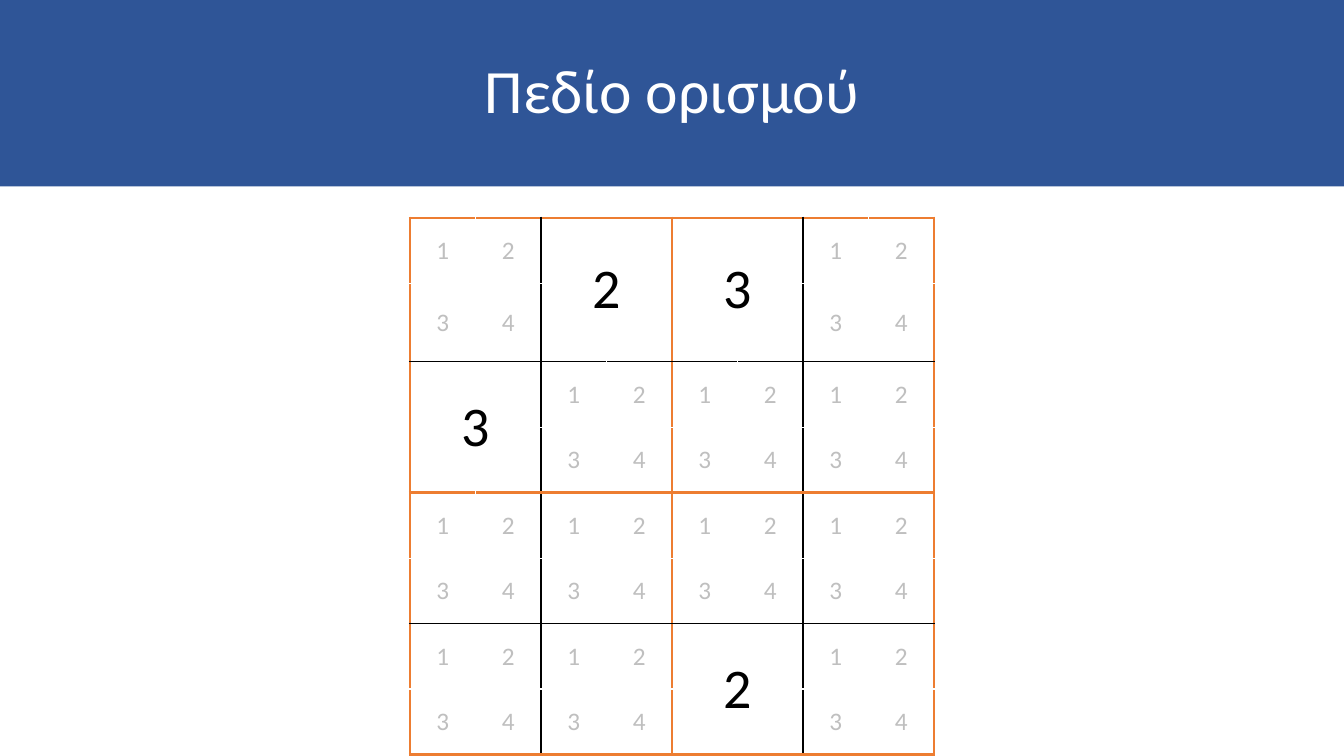
from dataclasses import dataclass
from typing import Any

import pptx
import pptx.dml.color
import pptx.enum.shapes
import pptx.enum.text
import pptx.oxml
import pptx.oxml.ns
import pptx.util
from lxml import etree

Cm = pptx.util.Cm
Pt = pptx.util.Pt
RGBColor = pptx.dml.color.RGBColor
PP_ALIGN = pptx.enum.text.PP_ALIGN
MSO_ANCHOR = pptx.enum.text.MSO_ANCHOR

BLUE = RGBColor(0x2F, 0x55, 0x97)
WHITE = RGBColor(0xFF, 0xFF, 0xFF)
BLACK = RGBColor(0x00, 0x00, 0x00)
GRAY = RGBColor(0xBF, 0xBF, 0xBF)
ORANGE = RGBColor(0xED, 0x7D, 0x31)

SLIDE_W, SLIDE_H = 33.87, 19.05
TITLE_H = 4.7
STEP = 1.65
SIDE = 4
COUNT = 2 * SIDE
GRID_LEFT = (SLIDE_W - COUNT * STEP) / 2
GRID_TOP = 5.49


@dataclass(frozen=True)
class Format:
    size: int
    color: RGBColor


@dataclass(frozen=True)
class Given:
    row: int
    col: int
    digit: str


@dataclass(frozen=True)
class Border:
    color: RGBColor
    width: float


TITLE = Format(44, WHITE)
SOLVED = Format(40, BLACK)
CANDIDATE = Format(18, GRAY)

BOX_EDGE = Border(ORANGE, 2.25)
SQUARE_EDGE = Border(BLACK, 1)
INNER_EDGE = Border(WHITE, 1)

GIVENS = [Given(0, 1, "2"), Given(0, 2, "3"), Given(1, 0, "3"), Given(3, 2, "2")]


def write(tf: Any, text: str, fmt: Format) -> Any:
    p = tf.paragraphs[0]
    p.alignment = PP_ALIGN.CENTER
    r = p.add_run()
    r.text = text
    values = {"name": "Calibri", "size": Pt(fmt.size)}
    for name, value in values.items():
        setattr(r.font, name, value)
    r.font.color.rgb = fmt.color
    return p


def edge(index: int) -> Border:
    if index % 4 == 0:
        return BOX_EDGE
    return SQUARE_EDGE if index % 2 == 0 else INNER_EDGE


def frame(cell: Any, row: int, col: int, span: int) -> None:
    sides = {"lnL": col, "lnR": col + span, "lnT": row, "lnB": row + span}
    tcPr = cell._tc.get_or_add_tcPr()
    for tag, index in sides.items():
        border = edge(index)
        ln = etree.SubElement(tcPr, pptx.oxml.ns.qn(f"a:{tag}"), w=str(Pt(border.width)))
        fill = etree.SubElement(ln, pptx.oxml.ns.qn("a:solidFill"))
        etree.SubElement(fill, pptx.oxml.ns.qn("a:srgbClr"), val=str(border.color))
    cell.fill.background()
    cell.vertical_anchor = MSO_ANCHOR.MIDDLE


def add_title(s: Any, text: str) -> None:
    sp = s.shapes.add_shape(
        pptx.enum.shapes.MSO_SHAPE.RECTANGLE, 0, 0, Cm(SLIDE_W), Cm(TITLE_H)
    )
    sp.shadow.inherit = False
    sp.fill.solid()
    sp.fill.fore_color.rgb = BLUE
    sp.line.fill.background()
    tf = sp.text_frame
    tf.word_wrap = True
    tf.vertical_anchor = MSO_ANCHOR.MIDDLE
    write(tf, text, TITLE).line_spacing = 0.9


def add_grid(s: Any) -> None:
    size = Cm(COUNT * STEP)
    gf = s.shapes.add_table(COUNT, COUNT, Cm(GRID_LEFT), Cm(GRID_TOP), size, size)
    table = gf.table
    table.first_row = False
    table.horz_banding = False
    for line in table.columns:
        line.width = Cm(STEP)
    for line in table.rows:
        line.height = Cm(STEP)
    for given in GIVENS:
        row, col = 2 * given.row, 2 * given.col
        table.cell(row, col).merge(table.cell(row + 1, col + 1))
        write(table.cell(row, col).text_frame, given.digit, SOLVED)
    for row in range(COUNT):
        for col in range(COUNT):
            cell = table.cell(row, col)
            frame(cell, row, col, 2 if cell.is_merge_origin else 1)
            if not (cell.is_merge_origin or cell.is_spanned):
                digit = 2 * (row % 2) + col % 2 + 1
                write(cell.text_frame, str(digit), CANDIDATE)
    p = table.cell(1, 2).text_frame.paragraphs[0]
    etree.SubElement(p._p, pptx.oxml.ns.qn("a:endParaRPr"), sz=str(SOLVED.size * 100))


def main() -> None:
    prs = pptx.Presentation()
    prs.slide_width = Cm(SLIDE_W)
    prs.slide_height = Cm(SLIDE_H)
    s = prs.slides.add_slide(prs.slide_layouts[6])
    add_title(s, "Πεδίο ορισμού")
    add_grid(s)
    prs.save("out.pptx")


if __name__ == "__main__":
    main()
